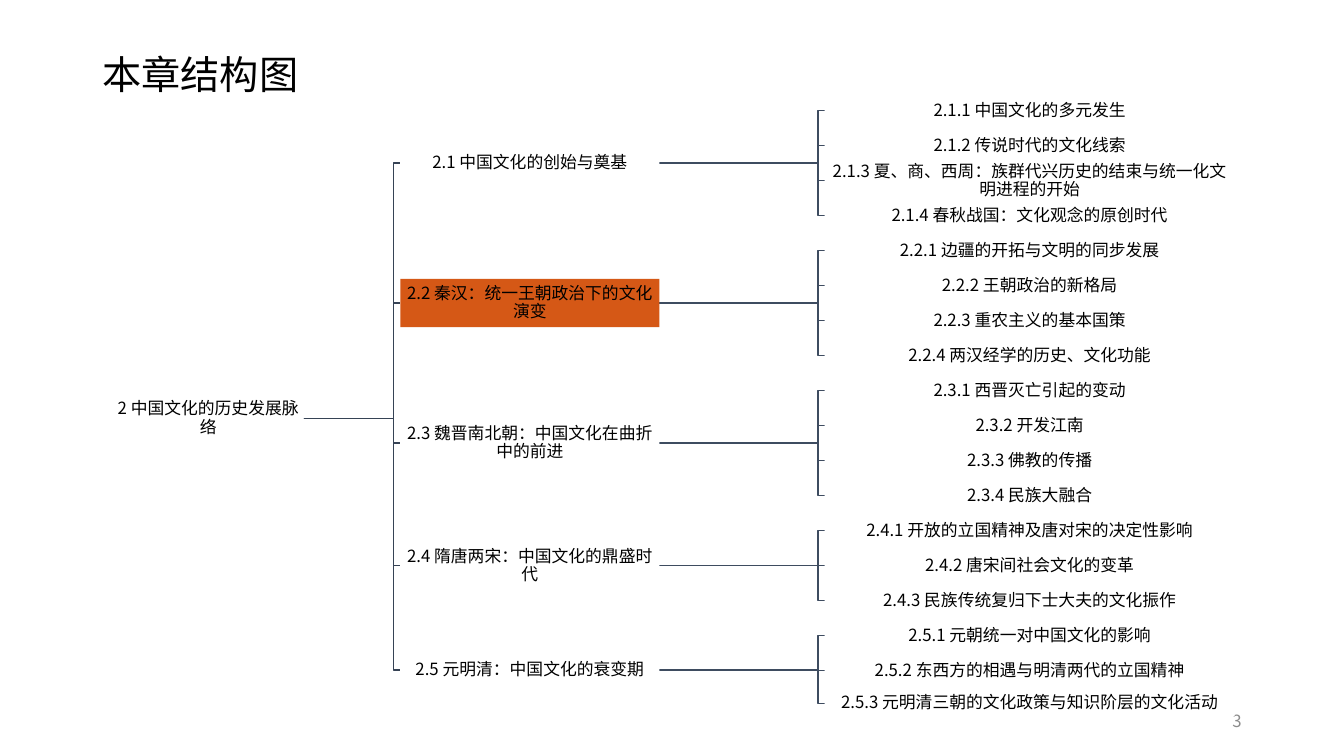
from dataclasses import dataclass
from typing import Optional

from lxml.etree import SubElement
from pptx import Presentation
from pptx.dml.color import RGBColor
from pptx.enum.shapes import MSO_SHAPE
from pptx.enum.text import MSO_ANCHOR, PP_ALIGN
from pptx.oxml.ns import qn
from pptx.slide import Slide
from pptx.text.text import TextFrame
from pptx.util import Pt


@dataclass(frozen=True)
class Theme:
    font: str = "Noto Sans CJK SC"
    title_size: float = 28
    body_size: float = 12
    text: str = "000000"
    muted: str = "8C8C8C"
    paper: str = "FFFFFF"
    highlight: str = "D55816"
    trunk_line: str = "364355"
    twig_line: str = "3E4C60"
    line_width: float = 1


@dataclass(frozen=True)
class Column:
    left: float
    width: float
    height: float

    @property
    def right(self) -> float:
        return self.left + self.width


@dataclass(frozen=True)
class Section:
    heading: str
    topics: tuple[str, ...]
    current: bool = False


THEME = Theme()
CHAPTER_COLUMN = Column(80.5, 136.5, 51)
SECTION_COLUMN = Column(286, 185, 34.5)
TOPIC_COLUMN = Column(589, 293, 18.5)
CHAPTER_CENTER = 299
FIRST_TOPIC_CENTER, TOPIC_PITCH, LAST_TOPIC_CENTER = 79, 25, 502.5
ELBOW_STUB = 4.75

# Chapter outline; a no-break space follows each number
CHAPTER = "2 中国文化的历史发展脉络"
SECTIONS = (
    Section("2.1 中国文化的创始与奠基", (
        "2.1.1 中国文化的多元发生",
        "2.1.2 传说时代的文化线索",
        "2.1.3 夏、商、西周：族群代兴历史的结束与统一化文明进程的开始",
        "2.1.4 春秋战国：文化观念的原创时代",
    )),
    Section("2.2 秦汉：统一王朝政治下的文化演变", (
        "2.2.1 边疆的开拓与文明的同步发展",
        "2.2.2 王朝政治的新格局",
        "2.2.3 重农主义的基本国策",
        "2.2.4 两汉经学的历史、文化功能",
    ), current=True),
    Section("2.3 魏晋南北朝：中国文化在曲折中的前进", (
        "2.3.1 西晋灭亡引起的变动",
        "2.3.2 开发江南",
        "2.3.3 佛教的传播",
        "2.3.4 民族大融合",
    )),
    Section("2.4 隋唐两宋：中国文化的鼎盛时代", (
        "2.4.1 开放的立国精神及唐对宋的决定性影响",
        "2.4.2 唐宋间社会文化的变革",
        "2.4.3 民族传统复归下士大夫的文化振作",
    )),
    Section("2.5 元明清：中国文化的衰变期", (
        "2.5.1 元朝统一对中国文化的影响",
        "2.5.2 东西方的相遇与明清两代的立国精神",
        "2.5.3 元明清三朝的文化政策与知识阶层的文化活动",
    )),
)


def write(frame: TextFrame, text: str, size: float, color: str,
          align: PP_ALIGN, line_spacing: float = 0.9) -> None:
    frame.text = text
    frame.word_wrap = True
    frame.vertical_anchor = MSO_ANCHOR.MIDDLE
    paragraph = frame.paragraphs[0]
    paragraph.alignment = align
    paragraph.line_spacing = line_spacing
    paragraph.space_before = Pt(0)
    paragraph.font.size = Pt(size)
    paragraph.font.color.rgb = RGBColor.from_string(color)
    paragraph.font.name = THEME.font
    # East Asian typeface
    properties = paragraph._p.get_or_add_pPr().get_or_add_defRPr()
    SubElement(properties, qn("a:ea")).set("typeface", THEME.font)


def draw_node(slide: Slide, text: str, column: Column, center: float,
              fill: Optional[str] = None) -> None:
    node = slide.shapes.add_shape(
        MSO_SHAPE.RECTANGLE, Pt(column.left), Pt(center - column.height / 2),
        Pt(column.width), Pt(column.height))
    node.shadow.inherit = False
    node.line.fill.background()
    if fill:
        node.fill.solid()
        node.fill.fore_color.rgb = RGBColor.from_string(fill)
    else:
        node.fill.background()
    frame = node.text_frame
    frame.margin_left = frame.margin_right = Pt(0.75)
    frame.margin_top = frame.margin_bottom = Pt(0.75)
    write(frame, text, THEME.body_size, THEME.text, PP_ALIGN.CENTER)


def draw_elbow(slide: Slide, parent: Column, parent_center: float,
               child: Column, child_center: float, color: str) -> None:
    bus = child.left - ELBOW_STUB
    outline = slide.shapes.build_freeform(Pt(parent.right), Pt(parent_center))
    outline.add_line_segments(
        [(Pt(bus), Pt(parent_center)), (Pt(bus), Pt(child_center)),
         (Pt(child.left), Pt(child_center))], close=False)
    elbow = outline.convert_to_shape()
    elbow.shadow.inherit = False
    elbow.fill.background()
    elbow.line.color.rgb = RGBColor.from_string(color)
    elbow.line.width = Pt(THEME.line_width)


def place_topics() -> list[list[float]]:
    """Vertical centers of the topics, section by section."""
    total = sum(len(section.topics) for section in SECTIONS)
    centers = [FIRST_TOPIC_CENTER + TOPIC_PITCH * i for i in range(total - 1)]
    remaining = iter(centers + [LAST_TOPIC_CENTER])
    return [[next(remaining) for _ in section.topics] for section in SECTIONS]


def draw_tree(slide: Slide) -> None:
    topic_centers = place_topics()
    section_centers = [sum(group) / len(group) for group in topic_centers]

    # Branch lines
    for section_center, group in zip(section_centers, topic_centers):
        for topic_center in group:
            draw_elbow(slide, SECTION_COLUMN, section_center,
                       TOPIC_COLUMN, topic_center, THEME.twig_line)
        draw_elbow(slide, CHAPTER_COLUMN, CHAPTER_CENTER,
                   SECTION_COLUMN, section_center, THEME.trunk_line)

    # Chapter, sections and topics
    draw_node(slide, CHAPTER, CHAPTER_COLUMN, CHAPTER_CENTER)
    for section, section_center, group in zip(SECTIONS, section_centers, topic_centers):
        fill = THEME.highlight if section.current else THEME.paper
        draw_node(slide, section.heading, SECTION_COLUMN, section_center, fill)
        for topic, topic_center in zip(section.topics, group):
            draw_node(slide, topic, TOPIC_COLUMN, topic_center, THEME.paper)


def main() -> None:
    deck = Presentation()
    deck.slide_width, deck.slide_height = Pt(960), Pt(540)
    slide = deck.slides.add_slide(deck.slide_layouts[5])

    # Title
    title = slide.shapes.title
    title.left, title.top, title.width, title.height = Pt(66), Pt(29), Pt(237), Pt(51)
    write(title.text_frame, "本章结构图", THEME.title_size, THEME.text, PP_ALIGN.LEFT)

    # Page number
    page_number = slide.shapes.add_textbox(Pt(678), Pt(500.5), Pt(216), Pt(28.75))
    write(page_number.text_frame, "3", THEME.body_size, THEME.muted, PP_ALIGN.RIGHT, 1.0)

    draw_tree(slide)
    deck.save("out.pptx")


if __name__ == "__main__":
    main()
